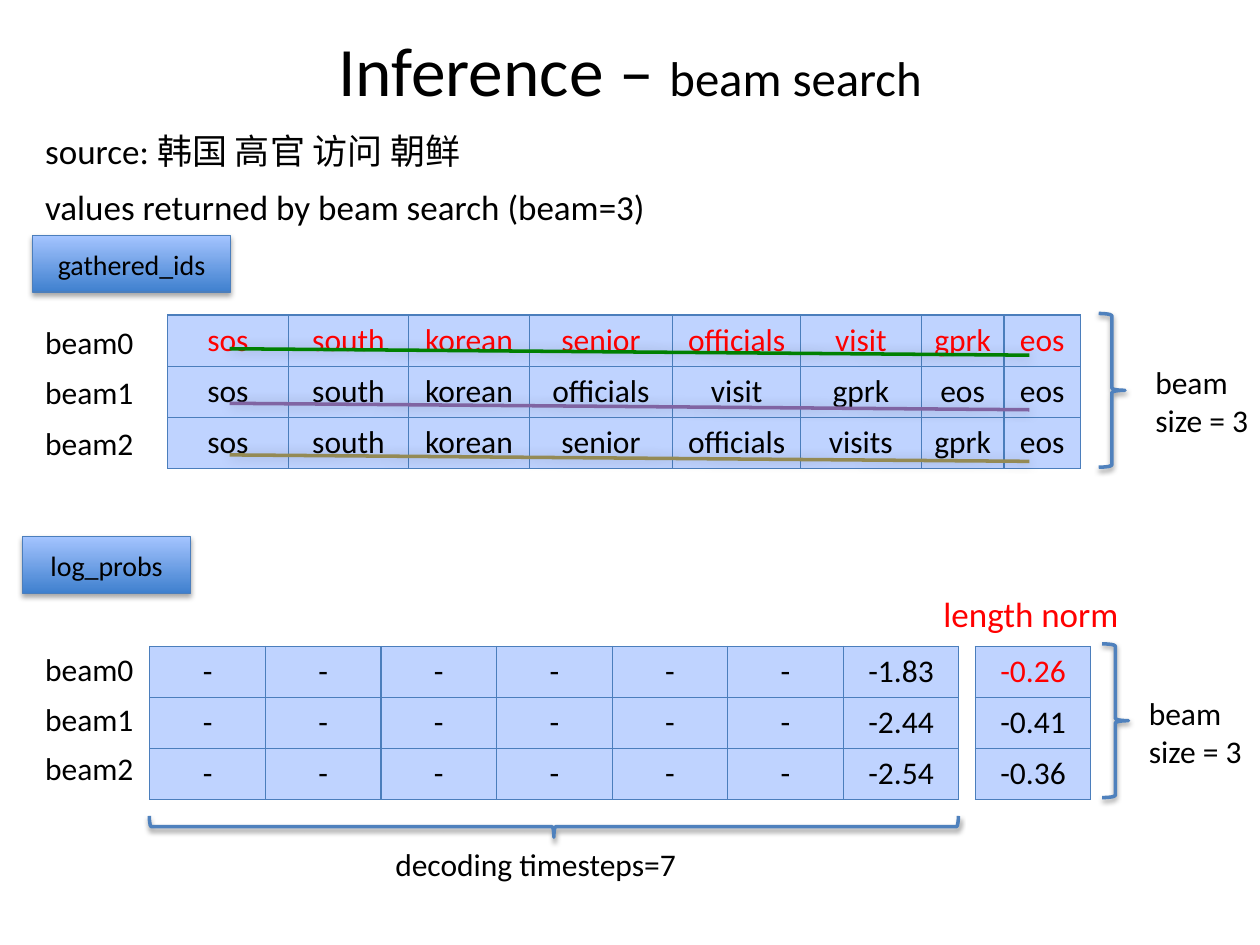
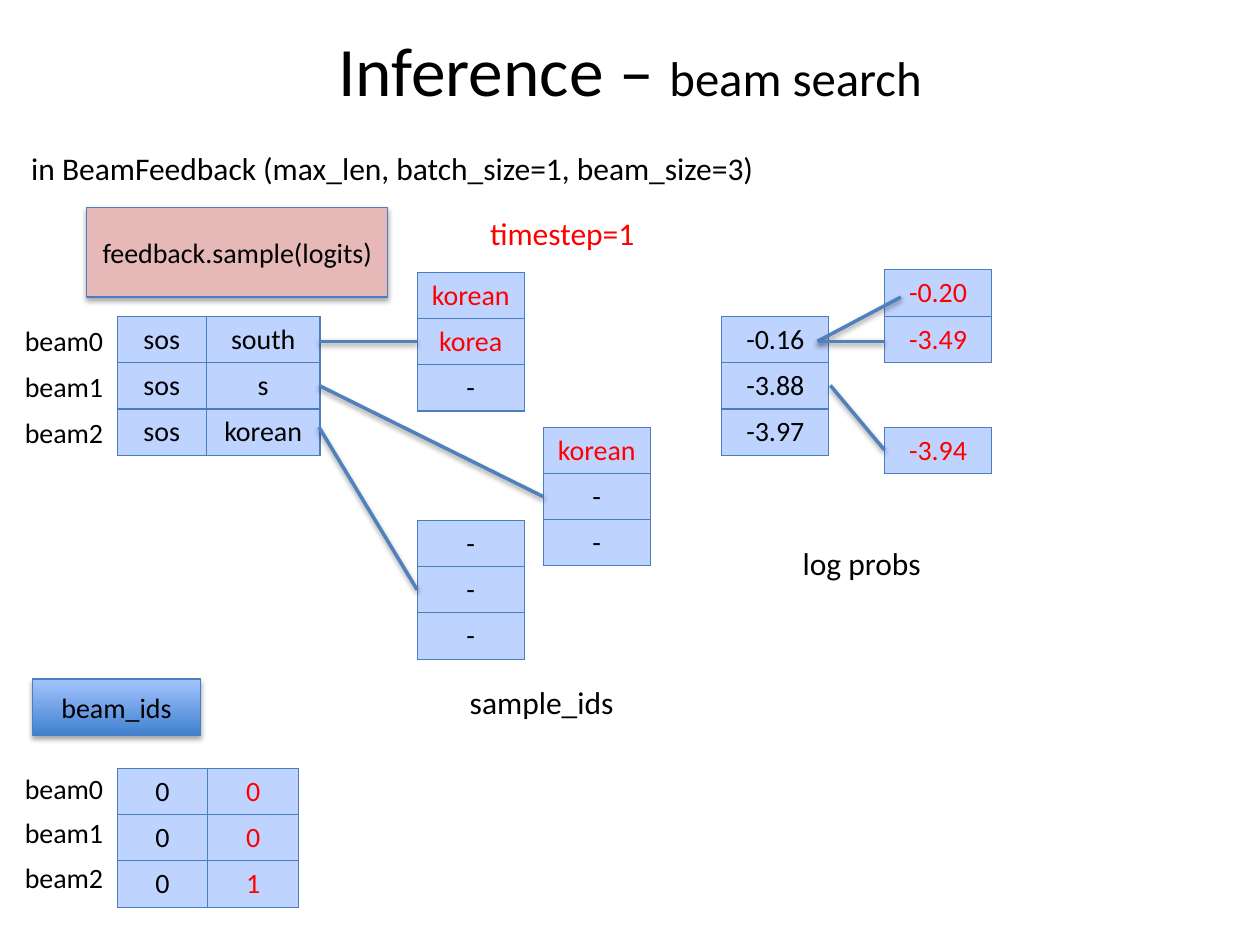
from lxml.etree import SubElement as Sub
from pptx import Presentation
from pptx.dml.color import RGBColor
from pptx.enum.shapes import MSO_CONNECTOR as Link, MSO_SHAPE as Kind
from pptx.enum.text import MSO_ANCHOR as Anchor, PP_ALIGN as Align
from pptx.oxml.ns import qn
from pptx.util import Cm, Pt

FONT = "Calibri"
BLACK, RED, PINK = "000000", "FF0000", "E6B9B8"
EDGE, BLUE, PALE = "4B7EBC", "4F81BD", "BFD3FF"
DEEP, LIGHT = "3F80CE", "A4C4FF"
GREEN, PURPLE, OLIVE = "008000", "8064A2", "948A54"
TITLE = [("Inference – ", 39.6), ("beam search", 27.9)]
BEAMS = ["beam0", "beam1", "beam2"]
ROW = {18: 1.03, 16: 0.93}
LINE_SHADE, BOX_SHADE, GLOW = (38, 3.1, 1.6, 90), (35, 3.1, 1.8, 90), (20, 6, 0, 225)

RESULT = {
    "size": 18,
    "texts": [
        (0.66, 3.61, 14.05, "values returned by beam search (beam=3)", 20, BLACK),
        (0.66, 2.49, 14.05, "source: 韩国 高官 访问 朝鲜", 20, BLACK),
        (23.04, 7.19, 2.95, "beam\nsize = 3", 18, BLACK),
        (22.91, 13.87, 2.95, "beam\nsize = 3", 18, BLACK),
        (7.72, 16.92, 7.37, "decoding timesteps=7", 18, BLACK),
        (18.77, 11.81, 4.04, "length norm", 20, RED),
    ],
    "beams": [(0.66, 6.38, 2.95, 1.02), (0.66, 12.98, 2.95, 1)],
    "tables": [
        (3.38, 6.35, [2.43, 2.43, 2.43, 2.89, 2.58, 2.43, 1.67, 1.54],
         ["*sos *south *korean *senior *officials *visit *gprk *eos",
          "sos south korean officials visit gprk eos eos",
          "sos south korean senior officials visits gprk eos"]),
        (3.02, 13.03, [2.33] * 7,
         ["- - - - - - -1.83", "- - - - - - -2.44", "- - - - - - -2.54"]),
        (19.66, 13.03, [2.33], ["*-0.26", "-0.41", "-0.36"]),
    ],
    "boxes": [(0.66, 4.75, 3.99, 1.14, "gathered_ids", None),
              (0.46, 10.82, 3.38, 1.14, "log_probs", None)],
    "braces": [(22.15, 6.32, 0.53, 3.1, 0), (22.22, 12.98, 0.53, 3.1, 0),
               (10.95, 8.51, 0.43, 16.31, 90)],
    "lines": [(4.63, y, 20.75, y + 0.13, tint, GLOW)
              for y, tint in [(7.03, GREEN), (8.13, PURPLE), (9.17, OLIVE)]],
}

SAMPLE = {
    "size": 16,
    "texts": [
        (0.38, 2.87, 15.3, "in BeamFeedback (max_len, batch_size=1, beam_size=3)", 18, BLACK),
        (9.63, 4.19, 3.5, "timestep=1", 18, RED),
        (15.93, 10.85, 3, "log probs", 18, BLACK),
        (9.22, 13.64, 3.5, "sample_ids", 18, BLACK),
    ],
    "beams": [(0.25, 6.4, 2.11, 0.93), (0.25, 15.42, 2.11, 0.9)],
    "tables": [
        (2.36, 6.38, [1.8, 2.29], ["sos south", "sos s", "sos korean"]),
        (8.41, 5.49, [2.16], ["*korean", "*korea", "-"]),
        (2.36, 15.49, [1.83, 1.83], ["0 *0", "0 *0", "0 *1"]),
        (10.95, 8.61, [2.16], ["*korean", "-", "-"]),
        (8.41, 10.49, [2.16], ["-", "-", "-"]),
        (14.55, 6.38, [2.16], ["-0.16", "-3.88", "-3.97"]),
        (17.83, 8.61, [2.16], ["*-3.94"]),
        (17.83, 5.44, [2.16], ["*-0.20", "*-3.49"]),
    ],
    "boxes": [(0.66, 13.69, 3.38, 1.14, "beam_ids", None),
              (1.75, 4.19, 6.07, 1.8, "feedback.sample(logits)", PINK)],
    "braces": [],
    "lines": [(*ends, BLUE, LINE_SHADE) for ends in [
        (6.43, 6.88, 8.41, 6.88), (6.43, 7.77, 10.95, 10.01),
        (6.43, 8.61, 8.41, 11.89), (16.48, 6.88, 18.16, 5.99),
        (16.48, 6.88, 17.83, 6.88), (16.74, 7.77, 17.83, 9.07)]],
}


def rgb(tint):
    return RGBColor.from_string(tint)


def style(frame, size, tint=BLACK, align=Align.LEFT):
    for para in frame.paragraphs:
        para.alignment = align
        for run in para.runs:
            font = run.font
            font.name, font.size = FONT, Pt(size)
            font.color.rgb = rgb(tint)


def stroke(shape, tint, width, shade):
    shape.line.color.rgb = rgb(tint)
    shape.line.width = Pt(width)
    alpha, blur, dist, turn = shade
    drop = Sub(Sub(shape._element.spPr, qn("a:effectLst")), qn("a:outerShdw"),
               blurRad=str(Pt(blur)), dist=str(Pt(dist)), dir=str(turn * 60000),
               rotWithShape="0")
    hue = Sub(drop, qn("a:srgbClr"), val=BLACK)
    Sub(hue, qn("a:alpha"), val=str(alpha * 1000))


def write(slide, x, y, w, words, size, tint):
    high = size * 0.043 * (words.count("\n") + 1) + 0.25
    frame = slide.shapes.add_textbox(Cm(x), Cm(y), Cm(w), Cm(high)).text_frame
    frame.word_wrap = True
    frame.text = words
    style(frame, size, tint)


def head(slide):
    frame = slide.shapes.add_textbox(Cm(1.27), Cm(0.76), Cm(22.86), Cm(1.27)).text_frame
    frame.word_wrap = True
    frame.vertical_anchor = Anchor.MIDDLE
    para = frame.paragraphs[0]
    for words, _ in TITLE:
        para.add_run().text = words
    style(frame, TITLE[0][1], align=Align.CENTER)
    for run, (_, size) in zip(para.runs, TITLE):
        run.font.size = Pt(size)


def edge(cell):
    props = cell._tc.get_or_add_tcPr()
    for side in "LRTB":
        line = Sub(props, qn("a:ln" + side), w=str(Pt(0.75)))
        Sub(Sub(line, qn("a:solidFill")), qn("a:srgbClr"), val=EDGE)


def grid(slide, x, y, cols, rows, size):
    high = ROW[size]
    table = slide.shapes.add_table(len(rows), len(cols), Cm(x), Cm(y),
                                   Cm(sum(cols)), Cm(high * len(rows))).table
    table.first_row = table.horz_banding = False
    for col, wide in zip(table.columns, cols):
        col.width = Cm(wide)
    for row, words in zip(table.rows, rows):
        row.height = Cm(high)
        for cell, word in zip(row.cells, words.split()):
            edge(cell)
            cell.fill.solid()
            cell.fill.fore_color.rgb = rgb(PALE)
            cell.text_frame.text = word.lstrip("*")
            tint = RED if word.startswith("*") else BLACK
            style(cell.text_frame, size, tint, Align.CENTER)


def box(slide, x, y, w, h, words, tint):
    shape = slide.shapes.add_shape(Kind.RECTANGLE, Cm(x), Cm(y), Cm(w), Cm(h))
    if tint:
        shape.fill.solid()
        shape.fill.fore_color.rgb = rgb(tint)
    else:
        shape.fill.gradient()
        shape.fill.gradient_angle = 90
        for stop, hue in zip(shape.fill.gradient_stops, (DEEP, LIGHT)):
            stop.color.rgb = rgb(hue)
    stroke(shape, EDGE, 0.75, BOX_SHADE)
    shape.text_frame.text = words
    shape.text_frame.vertical_anchor = Anchor.MIDDLE
    style(shape.text_frame, 16, align=Align.CENTER)


def brace(slide, x, y, w, h, turn):
    shape = slide.shapes.add_shape(Kind.RIGHT_BRACE, Cm(x), Cm(y), Cm(w), Cm(h))
    shape.rotation = turn
    shape.fill.background()
    stroke(shape, BLUE, 2, LINE_SHADE)


def join(slide, x1, y1, x2, y2, tint, shade):
    line = slide.shapes.add_connector(Link.STRAIGHT, Cm(x1), Cm(y1), Cm(x2), Cm(y2))
    stroke(line, tint, 2, shade)


def build(deck, page):
    slide = deck.slides.add_slide(deck.slide_layouts[6])
    size = page["size"]
    head(slide)
    for item in page["texts"]:
        write(slide, *item)
    for x, y, w, step in page["beams"]:
        for i, name in enumerate(BEAMS):
            write(slide, x, y + i * step, w, name, size, BLACK)
    for item in page["tables"]:
        grid(slide, *item, size)
    for key, draw in (("boxes", box), ("braces", brace), ("lines", join)):
        for item in page[key]:
            draw(slide, *item)


def main():
    deck = Presentation()
    deck.slide_width, deck.slide_height = Cm(25.4), Cm(19.05)
    for page in (RESULT, SAMPLE):
        build(deck, page)
    deck.save("out.pptx")


if __name__ == "__main__":
    main()
